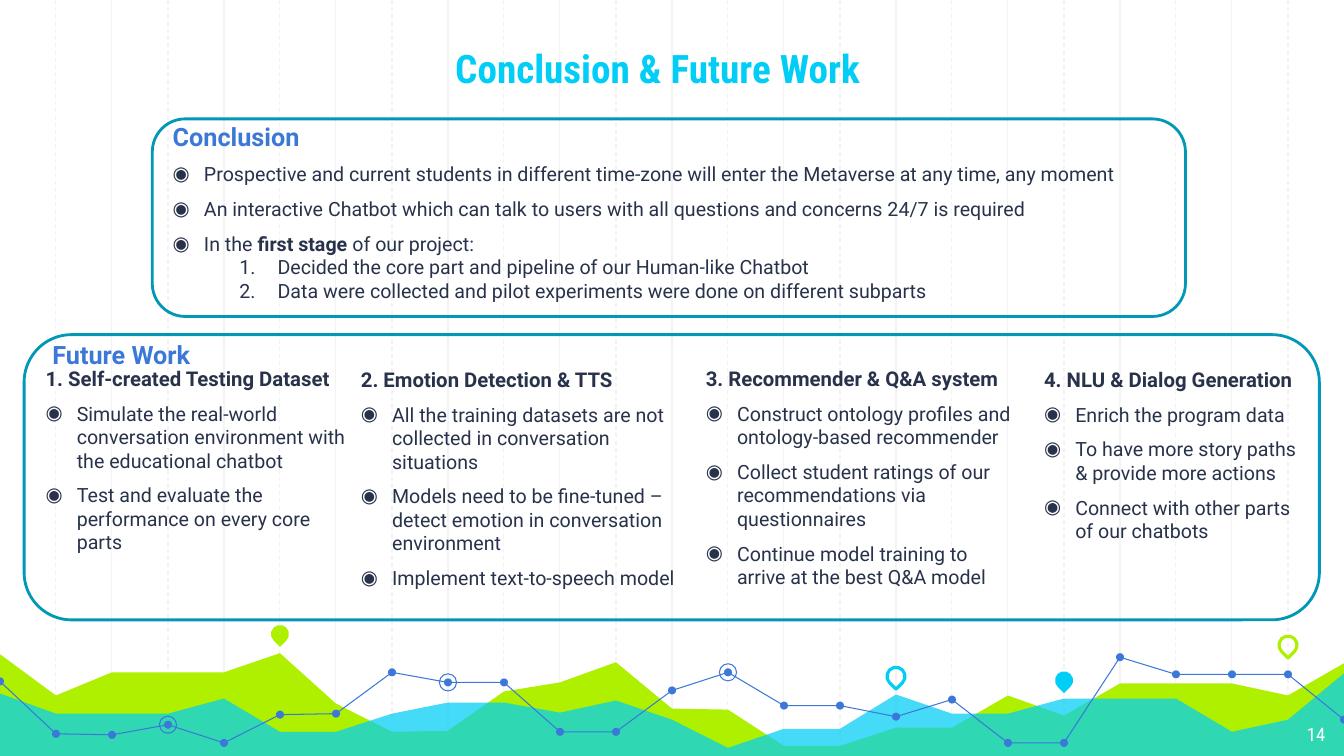
from dataclasses import dataclass
from lxml.etree import SubElement
from pptx import Presentation
from pptx.dml.color import RGBColor
from pptx.enum.dml import MSO_LINE
from pptx.enum.shapes import MSO_CONNECTOR, MSO_SHAPE
from pptx.enum.text import MSO_ANCHOR, MSO_AUTO_SIZE, PP_ALIGN
from pptx.oxml.ns import qn
from pptx.util import Inches, Pt

deck = Presentation()
deck.slide_width, deck.slide_height = Inches(13.33), Inches(7.5)
COL, ROW = deck.slide_width / 24, deck.slide_height / 750
INK, BLUE, CYAN, LIME, TEAL = "28324A", "3C78D8", "00CEF6", "AFF000", "0098B6"
INSET = Inches(0.13)


@dataclass
class Box:
    left: float
    top: float
    width: float
    height: float

    def inner(self, left, top, width, height):
        return Box(self.left + left, self.top + top, width, height)

    def emu(self):
        return [round(size) for size in (self.left * COL, self.top * ROW,
                                         self.width * COL, self.height * ROW)]


HEADING = dict(size=14.5, color=INK, bold=True, before=8)
SECTION = HEADING | dict(size=18, color=BLUE)
POINT = dict(size=14, color=INK, before=8, margin=0.31, indent=-0.31,
             bullet=("a:buChar", "char", "◉"))
STEP = POINT | dict(before=0, level=1, margin=1.04, indent=-0.38,
                    bullet=("a:buAutoNum", "type", "arabicPeriod"))
TITLE = dict(size=28, color=CYAN, bold=True, face="Roboto Condensed", align=PP_ALIGN.CENTER)
PAGE = dict(size=13.3, color="FFFFFF", face="Roboto Condensed", align=PP_ALIGN.RIGHT)


def rgb(code):
    return RGBColor.from_string(code)


def apply(target, values):
    for key, value in values.items():
        setattr(target, key, value)


def paint(shape, fill=None, line=None, weight=0.75):
    shape.shadow.inherit = False
    for part, code in ((shape.fill, fill), (shape.line.fill, line)):
        if code:
            part.solid()
            part.fore_color.rgb = rgb(code)
        else:
            part.background()
    if line:
        shape.line.width = Pt(weight)
    return shape


def set_bullet(paragraph, style):
    props = paragraph._p.get_or_add_pPr()
    props.set("marL", str(Inches(style.get("margin", 0))))
    props.set("indent", str(Inches(style.get("indent", 0))))
    if "bullet" not in style:
        SubElement(props, qn("a:buNone"))
        return
    tag, key, value = style["bullet"]
    SubElement(SubElement(props, qn("a:buClr")), qn("a:srgbClr")).set("val", INK)
    SubElement(props, qn("a:buFont")).set("typeface", "Roboto")
    SubElement(props, qn(tag)).set(key, value)


def write(slide, box, entries, holder=None, anchor=MSO_ANCHOR.TOP, insets=(INSET, INSET)):
    holder = holder or slide.shapes.add_textbox(*box.emu())
    slide.shapes._spTree.append(holder._element)
    apply(holder, dict(zip(("left", "top", "width", "height"), box.emu())))
    frame = holder.text_frame
    side, edge = insets
    apply(frame, dict(word_wrap=True, auto_size=MSO_AUTO_SIZE.NONE, vertical_anchor=anchor,
                      margin_left=side, margin_right=side, margin_top=edge, margin_bottom=edge))
    for number, (style, text) in enumerate(entries):
        paragraph = frame.add_paragraph() if number else frame.paragraphs[0]
        apply(paragraph, dict(alignment=style.get("align", PP_ALIGN.LEFT),
                              level=style.get("level", 0),
                              space_before=Pt(style.get("before", 0))))
        set_bullet(paragraph, style)
        for part, words in enumerate(text.split("**")):
            run = paragraph.add_run()
            run.text = words
            apply(run.font, dict(size=Pt(style["size"]), name=style.get("face", "Roboto"),
                                 bold=style.get("bold", False) or part % 2 == 1))
            run.font.color.rgb = rgb(style["color"])


def place_grid(slide, box):
    for column in sorted(range(1, 24), key=lambda number: number % 2):
        x, top, _, height = box.inner(column, 0, 0, box.height).emu()
        rule = slide.shapes.add_connector(MSO_CONNECTOR.STRAIGHT, x, top, x, top + height)
        rule.line.color.rgb = rgb("F3F3F3")
        rule.line.width = Pt(0.75)
        if column % 2:
            rule.line.dash_style = MSO_LINE.DASH
        SubElement(rule._element.spPr, qn("a:effectLst"))


def trace(slide, box, levels, closed):
    spots = [box.inner(column, level, 0, 0).emu()[:2] for column, level in enumerate(levels)]
    if closed:
        spots += [box.inner(x, box.height, 0, 0).emu()[:2] for x in (box.width, 0)]
    builder = slide.shapes.build_freeform(*spots[0])
    builder.add_line_segments(spots[1:], close=closed)
    return builder.convert_to_shape()


def mark(slide, box, kind, column, level, size, **look):
    wide = size * ROW / COL
    spot = box.inner(column - wide / 2, level - size / 2, wide, size)
    return paint(slide.shapes.add_shape(kind, *spot.emu()), **look)


def place_landscape(slide, box):
    hills = [49, 90, 67, 67, 67, 48, 98, 126, 125, 86, 77, 57, 103,
             104, 140, 140, 122, 122, 90, 110, 78, 78, 78, 90, 58]
    water = [88, 108, 108, 108, 93, 126, 126, 108, 97, 97, 107, 95, 114,
             142, 123, 123, 89, 108, 108, 93, 93, 93, 126, 114, 68]
    trend = [76, 128, 129, 119, 137, 109, 108, 67, 77, 77, 126, 126, 85,
             67, 100, 100, 111, 94, 137, 137, 52, 69, 69, 69, 114]
    paint(trace(slide, box, hills, True), fill=LIME)
    surface = paint(trace(slide, box, water, True), fill=CYAN)
    tint = surface._element.spPr.find(qn("a:solidFill")).find(qn("a:srgbClr"))
    SubElement(tint, qn("a:alpha")).set("val", "73000")
    paint(trace(slide, box, trend, False), line=BLUE)
    for column, level in enumerate(trend):
        mark(slide, box, MSO_SHAPE.OVAL, column, level, 8, fill=BLUE)
    for column in (3, 8, 13):
        mark(slide, box, MSO_SHAPE.OVAL, column, trend[column], 17, line=BLUE)
    for column, level, look in ((5, 29, dict(fill=LIME)), (19, 75, dict(fill=CYAN)),
                                (16, 71, dict(line=CYAN, weight=2.25)),
                                (23, 40, dict(line=LIME, weight=2.25))):
        mark(slide, box, MSO_SHAPE.TEAR, column, level, 18, **look).rotation = 135


def place_card(slide, box):
    paint(slide.shapes.add_shape(MSO_SHAPE.ROUNDED_RECTANGLE, *box.emu()), line=TEAL, weight=2)


def place_conclusion(slide, box, holder):
    place_card(slide, box)
    write(slide, box.inner(0.13, -11, box.width - 0.14, box.height + 17), [
        (SECTION, "Conclusion"),
        (POINT, "Prospective and current students in different time-zone will enter "
                "the Metaverse at any time, any moment"),
        (POINT, "An interactive Chatbot which can talk to users with all questions "
                "and concerns 24/7 is required"),
        (POINT, "In the **first stage** of our project:"),
        (STEP, "Decided the core part and pipeline of our Human-like Chatbot"),
        (STEP, "Data were collected and pilot experiments were done on different subparts"),
    ], holder)


def place_future(slide, box, holders):
    topics = [
        (0.15, 18, 5.85, "1. Self-created Testing Dataset", [
            "Simulate the real-world conversation environment with the educational chatbot",
            "Test and evaluate the performance on every core parts"]),
        (5.78, 19, 6.17, "2. Emotion Detection & TTS", [
            "All the training datasets are not collected in conversation situations",
            "Models need to be fine-tuned –detect emotion in conversation environment",
            "Implement text-to-speech model"]),
        (11.94, 18, 6.05, "3. Recommender & Q&A system", [
            "Construct ontology profiles and ontology-based recommender",
            "Collect student ratings of our recommendations via questionnaires",
            "Continue model training to arrive at the best Q&A model"]),
        (17.98, 19, 5.09, "4. NLU & Dialog Generation", [
            "Enrich the program data",
            "To have more story paths & provide more actions",
            "Connect with other parts of\u00a0our chatbots"])]
    place_card(slide, box)
    write(slide, box.inner(0.33, 0, 12.11, 40), [(SECTION, "Future Work")],
          insets=(Inches(0.1), Inches(0.05)))
    for (left, top, width, heading, points), holder in zip(topics, holders):
        write(slide, box.inner(left, top, width, 255),
              [(HEADING, heading)] + [(POINT, point) for point in points], holder)


def place_slide(slide, box):
    title, conclusion, *columns = slide.placeholders
    place_grid(slide, box)
    place_landscape(slide, box.inner(0, 600, box.width, 150))
    write(slide, box.inner(2.56, 0, 18.36, 104), [(TITLE, "Conclusion & Future Work")],
          title, MSO_ANCHOR.BOTTOM)
    place_conclusion(slide, box.inner(2.72, 118, 18.45, 196), conclusion)
    place_future(slide, box.inner(0.43, 332, 23.13, 283), [None, *columns])
    write(slide, box.inner(22.46, 704, 1.44, 46), [(PAGE, "14")])


place_slide(deck.slides.add_slide(deck.slide_layouts.get_by_name("Comparison")),
            Box(0, 0, 24, 750))
deck.save("out.pptx")
